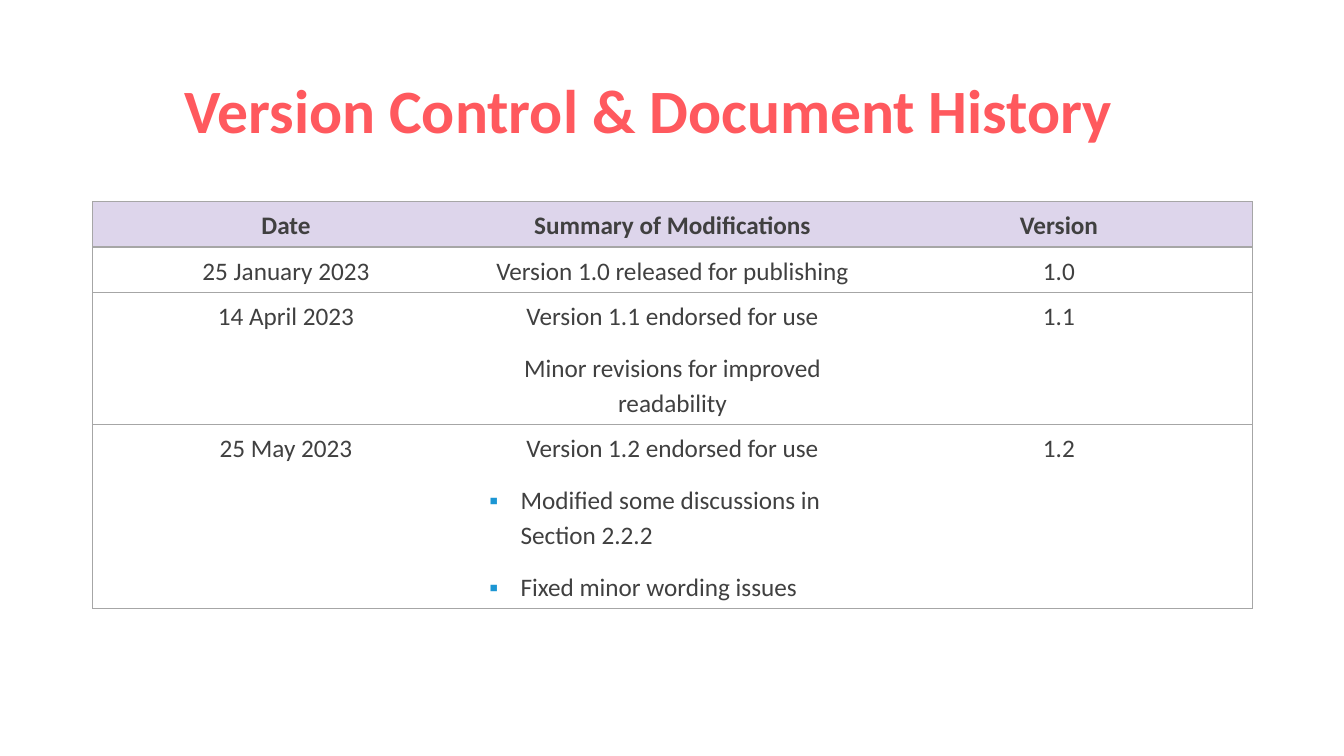
from dataclasses import dataclass

from lxml import etree
from pptx import Presentation
from pptx.dml.color import RGBColor
from pptx.enum.text import MSO_ANCHOR, PP_ALIGN
from pptx.oxml.ns import qn
from pptx.util import Inches, Pt

CENTER, LEFT = PP_ALIGN.CENTER, PP_ALIGN.LEFT
MIDDLE, TOP = MSO_ANCHOR.MIDDLE, MSO_ANCHOR.TOP
NO_GRID_STYLE = "{2D5ABB26-0587-4C30-8999-92F81FD0307C}"


@dataclass(frozen=True)
class Theme:
    font: str = "Calibri"
    coral: str = "FF595E"
    ink: str = "404040"
    lilac: str = "DDD5EB"
    rule: str = "A6A6A6"
    bullet: str = "1C96D3"
    title_size: int = 44
    body_size: int = 18


theme = Theme()


def set_font(font, size, color, bold):
    values = {"name": theme.font, "size": Pt(size), "bold": bold}
    for name, value in values.items():
        setattr(font, name, value)
    font.color.rgb = RGBColor.from_string(color)


def add_child(parent, tag, **attributes):
    return etree.SubElement(parent, qn(tag), attributes)


# Each cell lists its paragraphs; a leading bullet marks a list item
history = [
    (["Date"], ["Summary of Modifications"], ["Version"]),
    (["25 January 2023"], ["Version 1.0 released for publishing"], ["1.0"]),
    (
        ["14 April 2023"],
        ["Version 1.1 endorsed for use", "Minor revisions for improved readability"],
        ["1.1"],
    ),
    (
        ["25 May 2023"],
        [
            "Version 1.2 endorsed for use",
            "▪Modified some discussions in Section 2.2.2",
            "▪Fixed minor wording issues",
        ],
        ["1.2"],
    ),
]
row_heights = [0.45, 0.45, 1.31, 1.82]

deck = Presentation()
deck.slide_width, deck.slide_height = Inches(13.33), Inches(7.5)
page = deck.slides.add_slide(deck.slide_layouts[5])

# Title
title = page.shapes.title
title_place = {"left": 0.92, "top": 0.4, "width": 11.03, "height": 1.45}
for name, value in title_place.items():
    setattr(title, name, Inches(value))
title.text_frame.text = "Version Control & Document History"
title.text_frame.vertical_anchor = MIDDLE
heading = title.text_frame.paragraphs[0]
heading.alignment = CENTER
heading.line_spacing = 0.9
set_font(heading.runs[0].font, theme.title_size, theme.coral, True)

# Table grid
table = page.shapes.add_table(
    len(history), 3, Inches(0.92), Inches(2), Inches(11.5), Inches(sum(row_heights))
).table
table.first_row = table.horz_banding = False
table._tbl.tblPr.find(qn("a:tableStyleId")).text = NO_GRID_STYLE
for row, height in zip(table.rows, row_heights):
    row.height = Inches(height)

# Cells
for row_index, entries in enumerate(history):
    is_header = row_index == 0
    for column_index, lines in enumerate(entries):
        cell = table.cell(row_index, column_index)
        cell.vertical_anchor = TOP

        # Paragraphs
        for line_index, line in enumerate(lines):
            frame = cell.text_frame
            para = frame.paragraphs[0] if line_index == 0 else frame.add_paragraph()
            is_item = line.startswith("▪")
            layout = {
                "alignment": LEFT if is_item else CENTER,
                "line_spacing": 1.14,
                "space_before": Pt(6 if line_index else 0),
                "space_after": Pt(6),
            }
            for name, value in layout.items():
                setattr(para, name, value)
            if is_item:
                properties = para._p.get_or_add_pPr()
                properties.set("marL", str(Inches(0.31)))
                properties.set("indent", str(Inches(-0.31)))
                add_child(add_child(properties, "a:buClr"), "a:srgbClr", val=theme.bullet)
                add_child(properties, "a:buFont", typeface=theme.font)
                add_child(properties, "a:buChar", char="▪")
            span = para.add_run()
            span.text = line.removeprefix("▪")
            set_font(span.font, theme.body_size, theme.ink, is_header)

        # Horizontal rules everywhere, vertical ones on the outer edges only
        sides = {
            "a:lnL": column_index == 0,
            "a:lnR": column_index == len(entries) - 1,
            "a:lnT": True,
            "a:lnB": True,
        }
        for side, visible in sides.items():
            if visible:
                border = add_child(cell._tc.get_or_add_tcPr(), side, w=str(Pt(1)))
                add_child(add_child(border, "a:solidFill"), "a:srgbClr", val=theme.rule)

        # Fill
        if is_header:
            cell.fill.solid()
            cell.fill.fore_color.rgb = RGBColor.from_string(theme.lilac)
        else:
            cell.fill.background()

deck.save("out.pptx")
